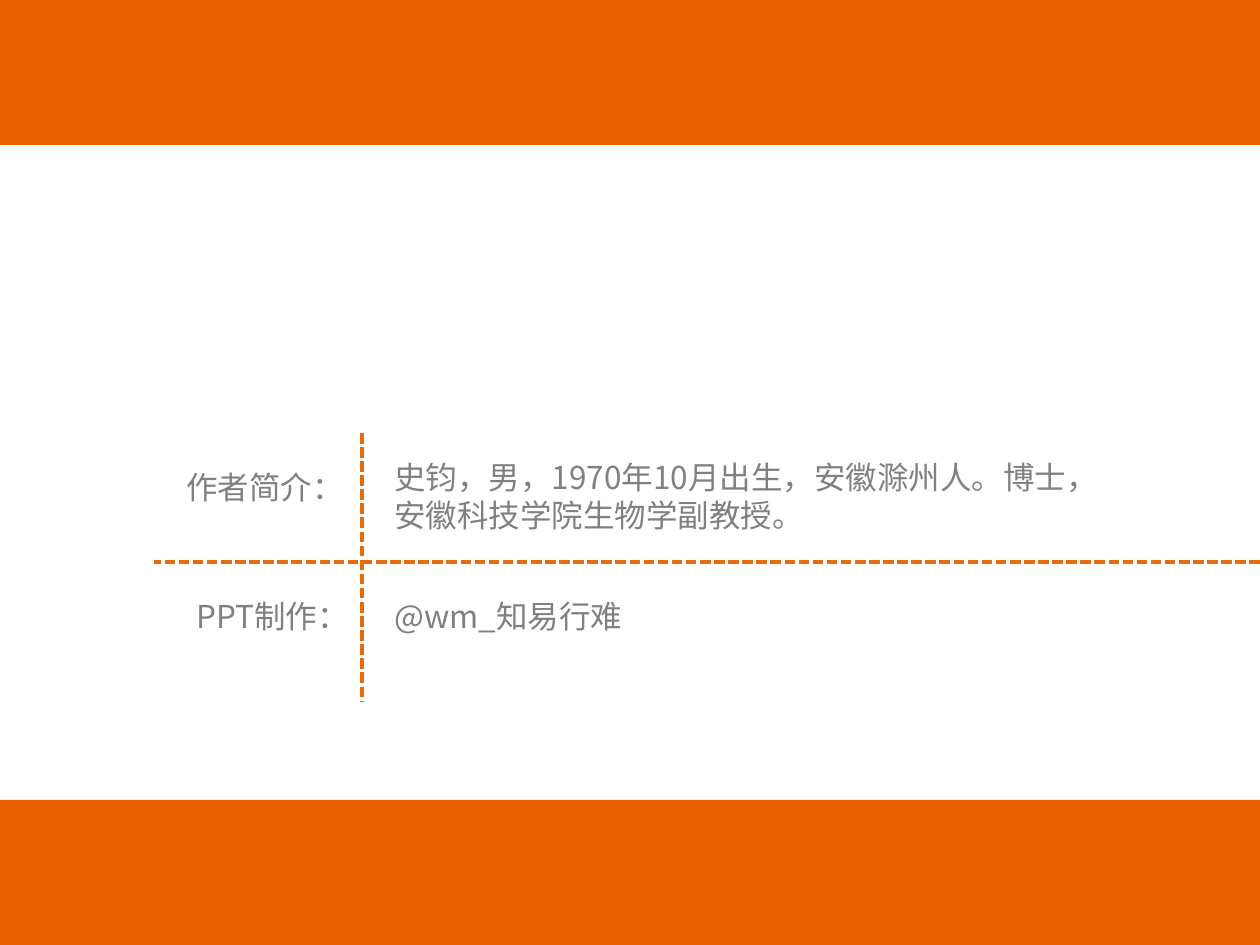
from lxml.etree import SubElement
from pptx import Presentation
from pptx.dml.color import RGBColor
from pptx.enum.dml import MSO_LINE
from pptx.enum.shapes import MSO_CONNECTOR, MSO_SHAPE
from pptx.enum.text import MSO_AUTO_SIZE
from pptx.oxml.ns import qn
from pptx.util import Pt

FONT = "Noto Sans CJK SC"
COLORS = {"bar": "EB6001", "rule": "E46C0A", "text": "808080"}
WIDE, HIGH = 1260, 945


def px(*nums):
    """Turn pixels, 126 to the inch, into EMU."""
    return [round(num * 914400 / 126) for num in nums]


deck = Presentation()
deck.slide_width, deck.slide_height = px(WIDE, HIGH)
slide = deck.slides.add_slide(deck.slide_layouts[6])
shapes = slide.shapes

# Dashed cross
for ends in [(362, 433, 362, 701), (WIDE, 562, 154, 562)]:
    rule = shapes.add_connector(MSO_CONNECTOR.STRAIGHT, *px(*ends))
    rule.line.color.rgb = RGBColor.from_string(COLORS["rule"])
    rule.line.width = Pt(2)
    rule.line.dash_style = MSO_LINE.SQUARE_DOT
    SubElement(rule._element.spPr, qn("a:effectLst"))

# Labels left of the cross, details right of it
notes = [
    ((174, 462, 189, 50), ["作者简介："]),
    ((382, 452, 704, 89),
     ["史钧，男，", "1970", "年", "10", "月出生，安徽滁州人。博士，安徽科技学院生物学副教授。"]),
    ((184, 591, 169, 50), ["PPT", "制作："]),
    ((382, 591, 328, 50), ["@wm_", "知易行难"]),
]
for place, parts in notes:
    frame = shapes.add_textbox(*px(*place)).text_frame
    frame.word_wrap = True
    frame.auto_size = MSO_AUTO_SIZE.SHAPE_TO_FIT_TEXT
    for part in parts:
        run = frame.paragraphs[0].add_run()
        run.text = part
        run.font.size = Pt(18)
        run.font.color.rgb = RGBColor.from_string(COLORS["text"])
        run.font.name = FONT
        SubElement(run.font._element, qn("a:ea"), typeface=FONT)

# Bars that bleed over the bottom and top edges
for top in (800, -4):
    bar = shapes.add_shape(MSO_SHAPE.RECTANGLE, *px(0, top, WIDE, 149))
    bar.shadow.inherit = False
    bar.fill.solid()
    bar.fill.fore_color.rgb = RGBColor.from_string(COLORS["bar"])
    bar.line.fill.background()

deck.save("out.pptx")
